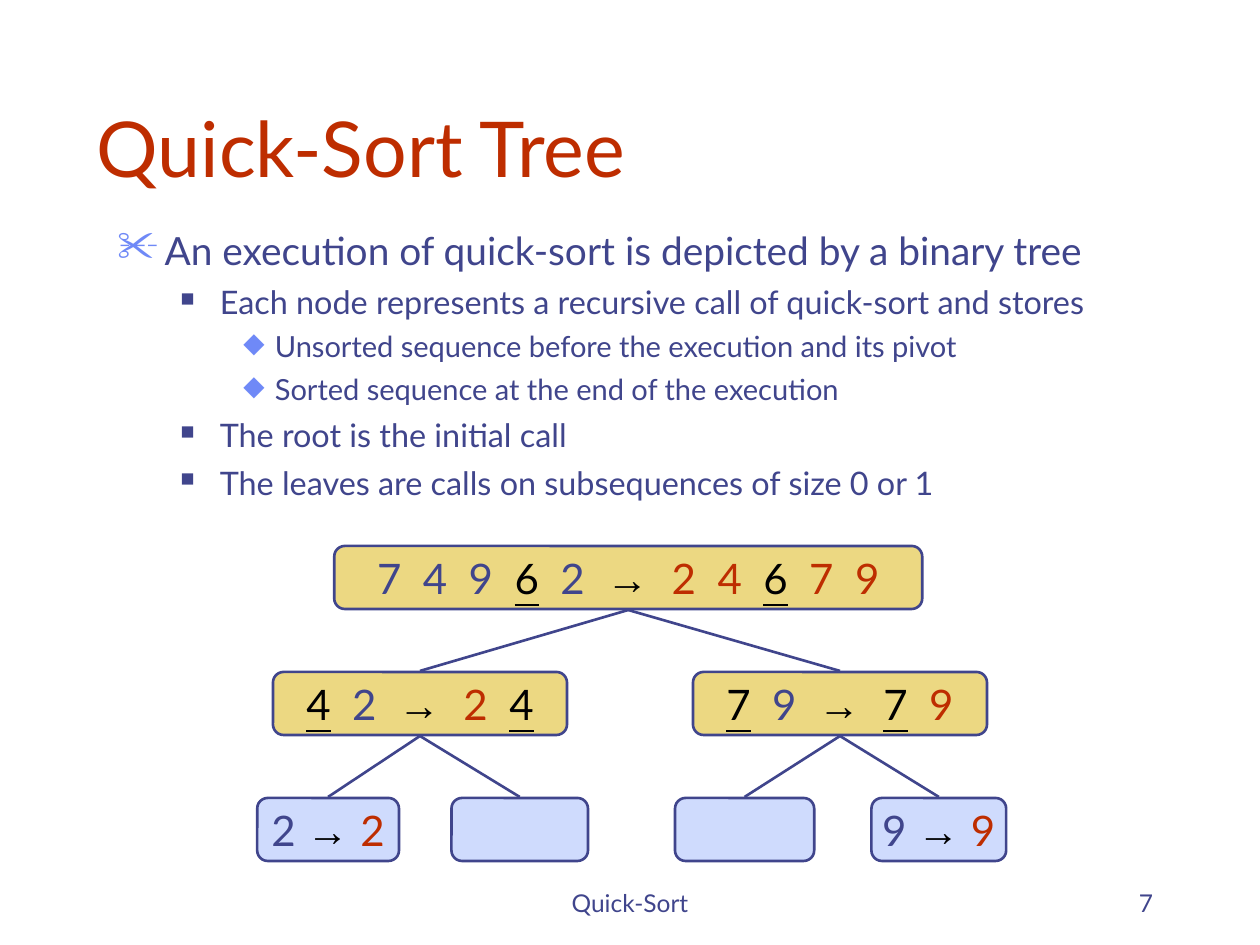
"""Build the Quick-Sort Tree slide."""
from lxml.etree import SubElement
from pptx import Presentation
from pptx.dml.color import RGBColor
from pptx.enum.shapes import MSO_CONNECTOR as Link, MSO_SHAPE as Kind
from pptx.enum.text import MSO_ANCHOR as Anchor, MSO_AUTO_SIZE as Fit, PP_ALIGN as Align
from pptx.oxml.ns import qn
from pptx.util import Pt

BLUE = RGBColor(0x40, 0x45, 0x8C)
SKY = RGBColor(0x6F, 0x89, 0xF7)
RED = RGBColor(0xBE, 0x2D, 0x00)
BLACK = RGBColor(0, 0, 0)
GOLD = RGBColor(0xEC, 0xD8, 0x82)
PALE = RGBColor(0xCF, 0xDB, 0xFD)

TITLE = "Quick-Sort Tree"
POINTS = [
    (0, "An execution of quick-sort is depicted by a binary tree"),
    (1, "Each node represents a recursive call of quick-sort and stores"),
    (2, "Unsorted sequence before the execution and its pivot"),
    (2, "Sorted sequence at the end of the execution"),
    (1, "The root is the initial call"),
    (1, "The leaves are calls on subsequences of size 0 or 1"),
]
LEVELS = [
    dict(size=22.2, before=6, left=27, hang=27, mark="✂", color=SKY, scale=110),
    dict(size=18.5, before=5, left=58.5, hang=22.5, mark="■", color=BLUE, scale=60),
    dict(size=16.6, before=4.5, left=90, hang=18, mark="◆", color=SKY, scale=95),
]
FOOTERS = [
    ("Quick-Sort", (246, 492, 228, 36), Align.CENTER),
    ("7", (516, 492, 150, 36), Align.RIGHT),
]
TREE = [
    dict(mid=359, row=0, wide=336, seq="74962", pivot="6", up=None),
    dict(mid=240, row=1, wide=168, seq="42", pivot="4", up=0),
    dict(mid=480, row=1, wide=168, seq="79", pivot="7", up=0),
    dict(mid=187.5, row=2, wide=81, seq="2", pivot="", up=1),
    dict(mid=297, row=2, wide=78, seq="", pivot="", up=1),
    dict(mid=425.5, row=2, wide=79.5, seq="", pivot="", up=2),
    dict(mid=536.5, row=2, wide=77, seq="9", pivot="", up=2),
]
TOP, STEP, TALL, GAP = 312, 72, 36, 0.6


def place(shape, box):
    shape.left, shape.top, shape.width, shape.height = map(Pt, box)


def style(font, size, color, name="Lato"):
    font.name, font.size, font.color.rgb = name, Pt(size), color


def add_text(slide, box, anchor):
    frame = slide.shapes.add_textbox(*map(Pt, box)).text_frame
    frame.word_wrap, frame.vertical_anchor = True, anchor
    return frame


def add_bullet(para, left, hang, mark, color, scale):
    props = para._p.get_or_add_pPr()
    props.set("marL", str(Pt(left)))
    props.set("indent", str(-Pt(hang)))
    SubElement(SubElement(props, qn("a:buClr")), qn("a:srgbClr"), val=str(color))
    SubElement(props, qn("a:buSzPct"), val=str(scale * 1000))
    SubElement(props, qn("a:buFont"), typeface="OpenSymbol")
    SubElement(props, qn("a:buChar"), char=mark)


def add_point(para, level, text, size, before, **bullet):
    para.text, para.level, para.space_before = text, level, Pt(before)
    style(para.font, size, BLUE)
    add_bullet(para, **bullet)


def add_points(slide):
    frame = add_text(slide, (60, 126, 624, 180), Anchor.TOP)
    for i, (level, text) in enumerate(POINTS):
        para = frame.add_paragraph() if i else frame.paragraphs[0]
        add_point(para, level, text, **LEVELS[level])


def add_run(para, text, color, name="Lato"):
    run = para.add_run()
    run.text = text
    style(run.font, 24, color, name)
    return run.font


def add_values(para, seq, pivot, color, space):
    for i, value in enumerate(seq):
        if i:
            add_run(para, space, color)
        if value == pivot:
            add_run(para, value, BLACK).underline = True
        else:
            add_run(para, value, color)


def add_node(slide, mid, row, wide, seq, pivot, up):
    box = (mid - wide / 2, TOP + row * STEP, wide, TALL)
    node = slide.shapes.add_shape(Kind.ROUNDED_RECTANGLE, *map(Pt, box))
    node.shadow.inherit = False
    node.fill.solid()
    node.fill.fore_color.rgb = PALE if row == 2 else GOLD
    node.line.color.rgb, node.line.width = BLUE, Pt(1.5)
    if not seq:
        return
    frame = node.text_frame
    frame.word_wrap, frame.vertical_anchor = False, Anchor.MIDDLE
    para = frame.paragraphs[0]
    para.alignment = Align.CENTER
    space = " " if row == 2 else "  "
    add_values(para, seq, pivot, BLUE, space)
    add_run(para, space, BLUE)
    add_run(para, "→" + space, BLACK, "Arial").bold = True
    add_values(para, sorted(seq), pivot, RED, space)


def add_edge(slide, child):
    head = TREE[child["up"]]
    ends = (head["mid"], TOP + head["row"] * STEP + TALL + GAP,
            child["mid"], TOP + child["row"] * STEP - GAP)
    edge = slide.shapes.add_connector(Link.STRAIGHT, *map(Pt, ends))
    edge.line.color.rgb, edge.line.width = BLUE, Pt(1.5)
    SubElement(edge._element.spPr, qn("a:effectLst"))


def main():
    deck = Presentation()
    deck.slide_width, deck.slide_height = Pt(720), Pt(540)
    slide = deck.slides.add_slide(deck.slide_layouts[5])
    title = slide.shapes.title
    place(title, (48, 24, 612, 90))
    frame = title.text_frame
    frame.text, frame.vertical_anchor, frame.auto_size = TITLE, Anchor.BOTTOM, Fit.NONE
    frame.paragraphs[0].alignment = Align.LEFT
    style(frame.paragraphs[0].font, 44, RED)
    add_points(slide)
    for text, box, align in FOOTERS:
        para = add_text(slide, box, Anchor.BOTTOM).paragraphs[0]
        para.text, para.alignment = text, align
        style(para.font, 14, BLUE)
    for node in TREE:
        add_node(slide, **node)
    for child in TREE[1:]:
        add_edge(slide, child)
    deck.save("out.pptx")


if __name__ == "__main__":
    main()
